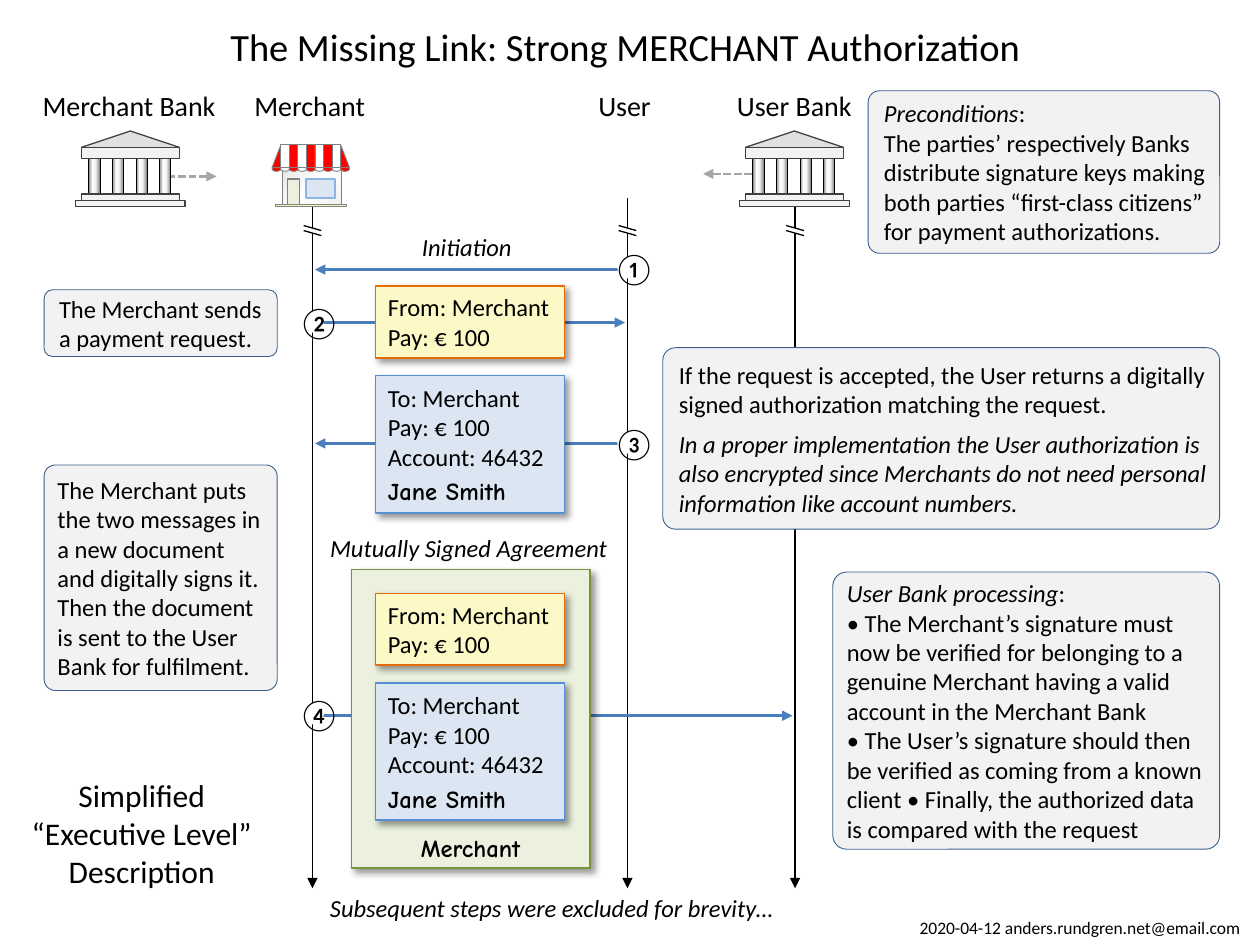
from lxml import etree
from pptx import Presentation
from pptx.dml.color import RGBColor as Rgb
from pptx.enum.dml import MSO_LINE as Dash
from pptx.enum.shapes import MSO_CONNECTOR as Wire, MSO_SHAPE as Kind
from pptx.enum.text import MSO_ANCHOR as Anchor, MSO_AUTO_SIZE as Fit, PP_ALIGN as Align
from pptx.oxml.ns import nsdecls, qn
from pptx.util import Inches, Pt

INK = {
    "black": "000000", "white": "FFFFFF", "blue": "4B7EBC", "gray": "A6A6A6",
    "mid": "808080", "dark": "404040", "pale": "F2F2F2", "roof": "E0E0E0",
    "wall": "E6E6E6", "red": "FF0000", "edge": "3A5F8C", "cream": "FDF9C7",
    "orange": "E46C0A", "ice": "DCE6F2", "sky": "558ED5", "glass": "8EB4E3",
    "mint": "EBF1DE", "green": "77933C",
}
METAL = [(0, "mid"), (32, "white"), (61, "pale"), (100, "mid")]
PLASTER = [(1, "wall"), (49, "white"), (100, "pale")]
PAD = (1, 0.5, 1, 0.5)


class Board:
    cols, rows = 100, 75

    def __init__(self):
        self.deck = Presentation()
        self.deck.slide_width = Inches(10)
        self.deck.slide_height = Inches(7.5)
        self.slide = self.deck.slides.add_slide(self.deck.slide_layouts[6])
        self.shapes = self.slide.shapes

    def x(self, n):
        return round(self.deck.slide_width * n / self.cols)

    def y(self, n):
        return round(self.deck.slide_height * n / self.rows)

    def place(self, at):
        left, top, wide, high = at
        return self.x(left), self.y(top), self.x(wide), self.y(high)

    def color(self, name):
        return Rgb.from_string(INK[name])

    def xml(self, node, text):
        head, rest = text.split(" ", 1)
        node.append(etree.fromstring(f"{head} {nsdecls('a')} {rest}"))

    def paint(self, item, fill, line=None, width=0.75):
        item.shadow.inherit = False
        item.fill.solid()
        item.fill.fore_color.rgb = self.color(fill)
        if line:
            item.line.color.rgb = self.color(line)
            item.line.width = Pt(width)
        else:
            item.line.fill.background()
        return item

    def box(self, at, fill, line=None, width=0.75, kind=Kind.RECTANGLE):
        item = self.shapes.add_shape(kind, *self.place(at))
        return self.paint(item, fill, line, width)

    def blend(self, at, stops, angle):
        item = self.box(at, "white", "mid" if angle else "black", 0.5)
        marks = "".join(f'<a:gs pos="{pos * 1000}"><a:srgbClr val="{INK[name]}"/></a:gs>'
                        for pos, name in stops)
        props = item._element.spPr
        self.xml(props, f'<a:gradFill rotWithShape="1"><a:gsLst>{marks}</a:gsLst>'
                        f'<a:lin ang="{angle * 60000}" scaled="0"/></a:gradFill>')
        props.replace(props.find(qn("a:solidFill")), props[-1])

    def shade(self, item):
        self.xml(item._element.spPr.find(qn("a:effectLst")),
                 '<a:outerShdw blurRad="50800" dist="38100" dir="2700000" algn="tl">'
                 '<a:srgbClr val="000000"><a:alpha val="40000"/></a:srgbClr></a:outerShdw>')

    def line(self, start, end, ink="black", width=0.75, arrow=True, dash=None):
        item = self.shapes.add_connector(
            Wire.STRAIGHT, self.x(start[0]), self.y(start[1]), self.x(end[0]), self.y(end[1]))
        item.line.color.rgb = self.color(ink)
        item.line.width = Pt(width)
        if dash:
            item.line.dash_style = dash
        props = item._element.spPr
        if arrow:
            self.xml(props.find(qn("a:ln")), '<a:tailEnd type="triangle"/>')
        self.xml(props, "<a:effectLst />")

    def text(self, item, paras, size=14, align=Align.LEFT, gap=0, pad=PAD, wrap=True):
        frame = item.text_frame
        frame.word_wrap = wrap
        if not wrap:
            frame.auto_size = Fit.SHAPE_TO_FIT_TEXT
        frame.margin_left, frame.margin_right = self.x(pad[0]), self.x(pad[2])
        frame.margin_top, frame.margin_bottom = self.y(pad[1]), self.y(pad[3])
        for n, runs in enumerate(paras):
            para = frame.add_paragraph() if n else frame.paragraphs[0]
            para.alignment = align
            if n and gap:
                para.space_before = Pt(gap)
            for words, look in runs:
                for k, part in enumerate(words.split("\n")):
                    if k:
                        para.add_line_break()
                    run = para.add_run()
                    run.text = part
                    font = run.font
                    font.size = Pt(size)
                    font.name = "Comic Neue" if look == "sign" else "Calibri"
                    font.bold = look == "sign"
                    font.italic = look == "slant"
                    font.color.rgb = self.color("black")

    def label(self, at, words, size=14, look="", align=Align.LEFT):
        item = self.shapes.add_textbox(*self.place(at))
        self.text(item, [[(part, look)] for part in words.split("\r")], size, align, wrap=False)

    def card(self, at, fill, line, paras=()):
        item = self.box(at, fill, line, 1)
        self.shade(item)
        if paras:
            item.text_frame.vertical_anchor = Anchor.MIDDLE
            self.text(item, paras, gap=3, wrap=False)

    def note(self, at, bend, paras, pad=(1, 0.5, 0, 0.5), gap=0):
        item = self.box(at, "pale", "edge", 0.5, Kind.ROUNDED_RECTANGLE)
        item.adjustments[0] = bend
        item.text_frame.vertical_anchor = Anchor.MIDDLE
        self.text(item, paras, gap=gap, pad=pad)

    def bank(self, left):
        for n in range(4):
            self.blend((left + 1.05 + 1.87 * n, 12.3, 0.9, 3.3), METAL, 0)
        roof = self.shapes.build_freeform(self.x(left + 0.45), self.y(11.7))
        roof.add_line_segments([(self.x(left + 4.35), self.y(10.4)),
                                (self.x(left + 8.25), self.y(11.7))], close=False)
        self.paint(roof.convert_to_shape(), "roof", "dark")
        for inset, top, high in ((0.45, 11.7, 0.9), (0, 15.9, 0.5), (0.45, 15.4, 0.5)):
            self.box((left + inset, top, 8.7 - 2 * inset, high), "pale", "dark")

    def shop(self, left):
        self.blend((left + 0.8, 13.4, 4.7, 2.9), PLASTER, 45)
        self.box((left + 1.2, 14.2, 1, 2.1), "mint", "mid")
        self.box((left + 2.7, 14.2, 2.3, 1.5), "ice", "glass", 1.25)
        self.box((left + 0.3, 16.2, 5.6, 0.2), "cream", "mid", 0.5)
        for n in range(9):
            ink = "white" if n % 2 else "red"
            spot = left + 0.68 * n
            self.box((spot, 13.2, 0.7, 0.4), ink, "mid", 0.5, Kind.OVAL)
            end = n in (0, 8)
            item = self.box((spot, 11.5, 0.7, 1.8), ink, "mid", 0.5,
                            Kind.RIGHT_TRIANGLE if end else Kind.RECTANGLE)
            if n == 0:
                item._element.spPr.find(qn("a:xfrm")).set("flipH", "1")

    def cut(self, mid):
        self.box((mid - 0.37, 18.1, 0.7, 0.4), "white").rotation = 14.5
        for top in (17.9, 18.3):
            self.line((mid - 0.7, top), (mid + 0.7, top + 0.4), arrow=False)

    def step(self, left, top, mark):
        self.box((left + 1.3, top + 1.1, 1.7, 1.7), "white", kind=Kind.OVAL)
        self.label((left, top, 4.3, 4), mark, 18)


def main():
    b = Board()
    shop, user, bank = 24.8, 49.8, 63.1
    b.line((shop, 25.6), (49.6, 25.6), "blue", 1.5)
    for mid in (shop, user, bank):
        b.line((mid, 15.7), (mid, 70.5))
    b.line((13.3, 14), (17.2, 14), "gray", 1.5, dash=Dash.SQUARE_DOT)
    b.line((59.7, 13.8), (55.8, 13.8), "gray", 1.5, dash=Dash.SQUARE_DOT)
    b.shop(21.6)
    b.bank(58.7)
    b.bank(6)

    b.label((17.3, 1.3, 65.4, 4.7), "The Missing Link: Strong MERCHANT Authorization", 22)
    for left, wide, name in ((57.5, 11.2, "User Bank"), (19.2, 10.9, "Merchant"),
                             (2.4, 15.9, "Merchant Bank"), (46.5, 6.2, "User")):
        b.label((left, 6.5, wide, 3.7), name, 16)
    b.label((72, 72.3, 27.9, 2.7), "2020-04-12 anders.rundgren.net@email.com", 10)

    b.line((user, 35.2), (25, 35.2), "blue", 1.5)
    b.line((shop, 56.8), (62.9, 56.8), "blue", 1.5)
    b.card((27.9, 45.2, 18.9, 23.7), "mint", "green")
    ask = [[("From: Merchant\nPay: € 100", "")]]
    reply = [[("To: Merchant\nPay: € 100\nAccount: 46432", "")], [("Jane Smith", "sign")]]
    for top in (22.7, 47.1):
        b.card((29.8, top, 15, 5.7), "cream", "orange", ask)
        b.card((29.8, top + 7.1, 15, 10.9), "ice", "sky", reply)
    b.label((31.3, 65.6, 12.1, 3.4), "Merchant", look="sign", align=Align.CENTER)

    b.note((3.5, 23, 18.5, 5.3), 0.13, [[("The Merchant sends a payment request.", "")]])
    b.note((52.6, 27.6, 44.2, 14.4), 0.07, [
        [("If the request is accepted, the User returns a digitally signed "
          "authorization matching the request.", "")],
        [("In a proper implementation the User authorization is also encrypted since "
          "Merchants do not need personal information like account numbers.", "slant")]], gap=6)
    b.note((66.1, 45.4, 30.7, 22), 0.05, [
        [("User Bank processing", "slant"), (":", "")],
        [("• The Merchant’s signature must now be verified for belonging to a genuine "
          "Merchant having a valid account in the Merchant Bank\n"
          "• The User’s signature should then be verified as coming from a known client "
          "• Finally, the authorized data is compared with the request", "")]], (0.8, 0, 0.8, 0))
    b.note((68.9, 7.2, 27.9, 12.9), 0.07, [
        [("Preconditions", "slant"), (":", "")],
        [("The parties’ respectively Banks distribute signature keys making both parties "
          "“first-class citizens” for payment authorizations.", "")]])
    b.note((3.5, 36.9, 18.5, 17.9), 0.05, [
        [("The Merchant puts the two messages in a new document and digitally signs it.", "")],
        [("Then the document is sent to the User Bank for fulfilment.", "")]], (0.8, 0, 0.8, 0))

    for mid in (bank, user, shop):
        b.cut(mid)
    b.label((1.4, 61.1, 19.7, 10.1), "Simplified\n“Executive Level”\rDescription", 18,
            align=Align.CENTER)
    b.label((25.2, 70.4, 38.2, 3.4), "Subsequent steps were excluded for brevity…", look="slant")
    b.label((25.1, 41.8, 24.2, 3.4), "Mutually Signed Agreement", look="slant", align=Align.CENTER)
    b.line((user, 21.4), (25, 21.4), "blue", 1.5)
    for left, top, mark in ((47.7, 19.3, "①"), (22.7, 23.6, "②"),
                            (47.7, 33.2, "③"), (22.7, 54.7, "④")):
        b.step(left, top, mark)
    b.label((32.4, 17.9, 9.3, 3.4), "Initiation", look="slant", align=Align.CENTER)
    b.deck.save("out.pptx")


if __name__ == "__main__":
    main()
